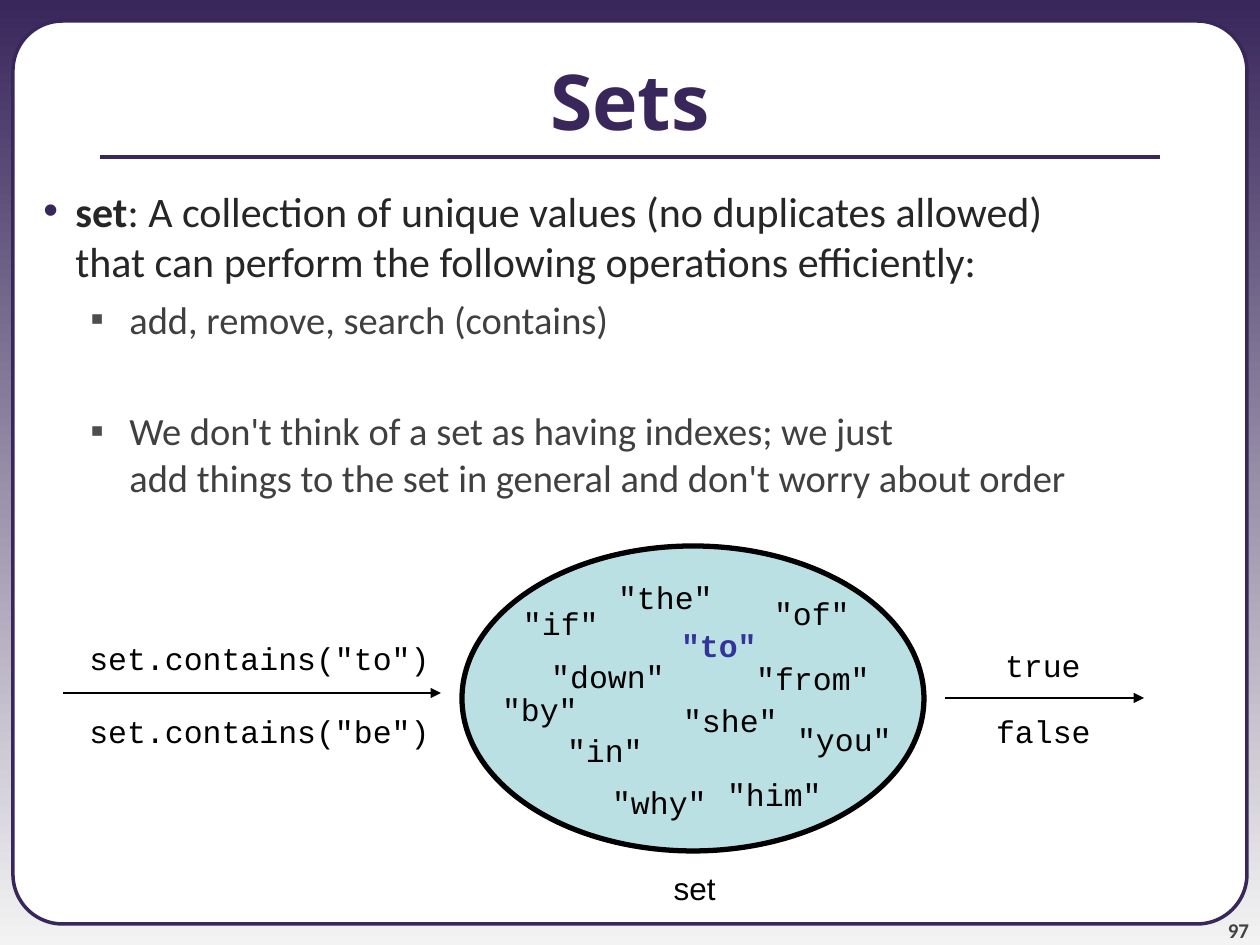
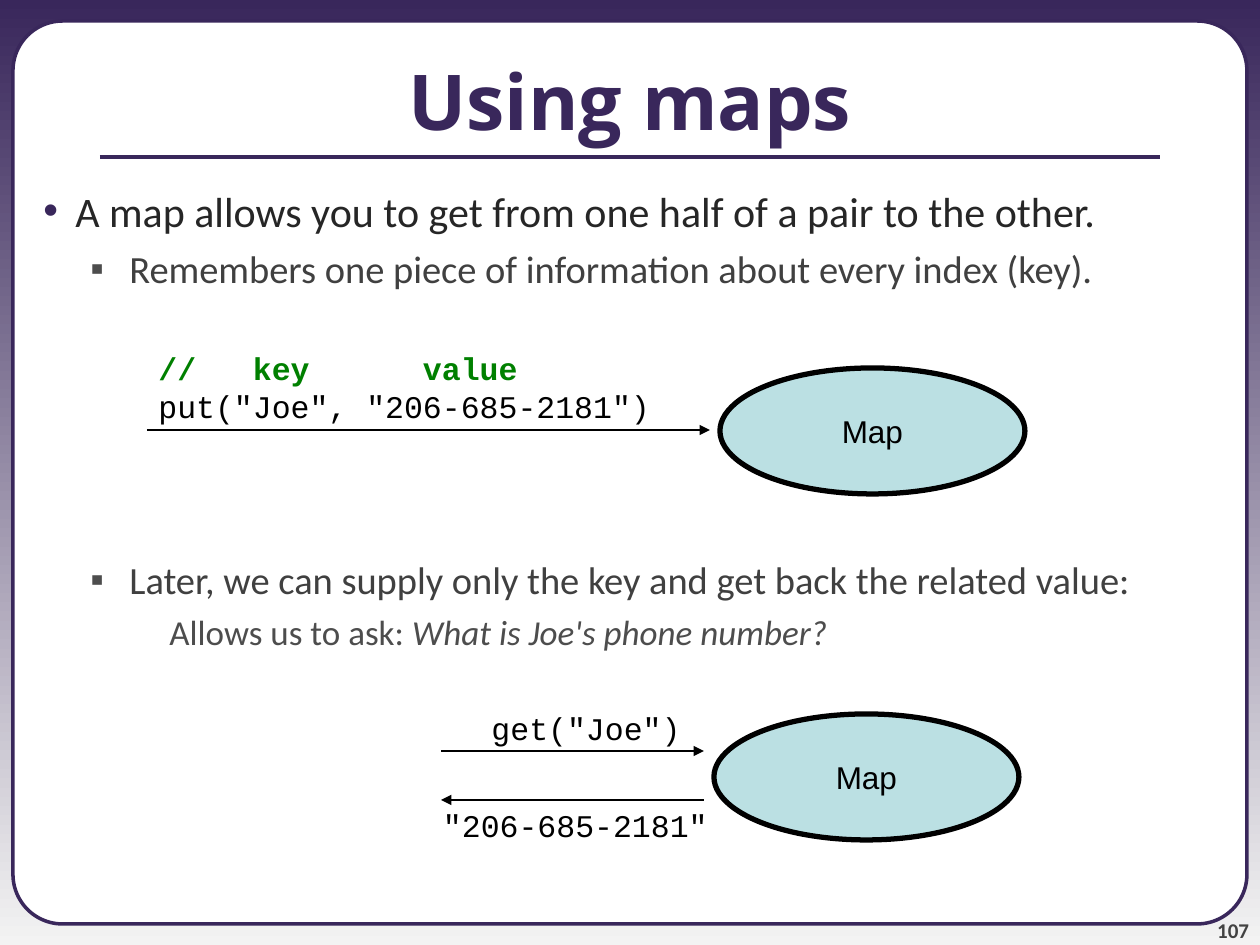
import lxml.etree
import pptx
import pptx.dml.color
import pptx.enum.shapes
import pptx.enum.text
import pptx.oxml.ns
import pptx.util

SCALE = 914400 / 126  # EMU in one pixel
CHARACTER = 18.9      # width of an 18 pt Courier New character
INSET = 12.6          # side margin of a text box
SLACK = 3             # spare width on the left that keeps a label on one line
COLORS = {
    "purple": "39275B", "mist": "F3F3F3", "white": "FFFFFF", "black": "000000",
    "ink": "262626", "grey": "404040", "soft": "4D4D4D", "number": "424242",
    "aqua": "BBE0E3", "blue": "333399", "green": "008000",
}
RGB = {name: pptx.dml.color.RGBColor.from_string(code) for name, code in COLORS.items()}
ALIGN = pptx.enum.text.PP_ALIGN
ANCHOR = pptx.enum.text.MSO_ANCHOR
SHAPE = pptx.enum.shapes.MSO_SHAPE
STRAIGHT = pptx.enum.shapes.MSO_CONNECTOR.STRAIGHT
qn = pptx.oxml.ns.qn

# Per level: left margin, hanging indent, size, text colour, bullet, bullet colour
LEVELS = [
    (63, -32, 24, "ink", "•", "purple"),
    (117, -39, 22, "grey", "▪", "soft"),
    (157, 0, 20, "soft", None, None),
]

# Body: level, space before in points, runs with their style
# Ellipses: box and caption; arrows: start x, end x, y; labels: text, left, top
PAGES = [
    {
        "title": "Sets", "number": "97",
        "body": [
            (0, 6, [("set", "bold"),
                    (": A collection of unique values (no duplicates allowed)", ""),
                    ("\n", ""),
                    ("that can perform the following operations efficiently:", "")]),
            (1, 5.5, [("add, remove, search (contains)", "")]),
            (1, 37.5, [("We don't think of a set as having indexes; we just", ""),
                       ("\n", ""),
                       ("add things to the set in general and don't worry about order", "")]),
        ],
        "ellipses": [(462, 546, 462, 305, "")],
        "arrows": [(63, 441, 693), (945, 1144, 698)],
        "labels": [
            ('set.contains("to")', 77, 633), ('set.contains("be")', 77, 706),
            ("true", 992, 640), ("false", 983, 706),
            ('"the"', 605, 572), ('"of"', 761, 588), ('"from"', 743, 653),
            ('"she"', 670, 695), ('"you"', 784, 714), ('"him"', 714, 769),
            ('"why"', 599, 777), ('"in"', 554, 725), ('"down"', 538, 651),
            ('"by"', 489, 684), ('"if"', 510, 598),
        ],
    },
    {
        "title": "Using maps", "number": "107",
        "body": [
            (0, 6, [("A map allows you to get from one half of a pair to the other.", "")]),
            (1, 5.5, [("Remembers one piece of information about every index (key).", "")]),
            (1, 151, [("Later, we can supply only the key and get back the related value:", "")]),
            (2, 5, [("Allows us to ask: ", ""), ("What is Joe's phone number?", "italic")]),
        ],
        "ellipses": [(720, 368, 305, 126, "Map"), (714, 714, 305, 126, "Map")],
        "arrows": [(147, 710, 430), (441, 704, 751), (704, 441, 800)],
        "labels": [('get("Joe")', 479, 703), ('"206-685-2181"', 430, 800)],
    },
]


def style(para, name, size, color, bold=False):
    para.font.name = name
    para.font.size = pptx.util.Pt(size)
    para.font.color.rgb = RGB[color]
    para.font.bold = bold


def add_label(page, text, left, top, width=None, name="Courier New", color="black", bold=False):
    width = width or round(CHARACTER * len(text) + 2 * INSET)
    place = (left - SLACK, top, width + SLACK, 50)
    box = page.shapes.add_textbox(*[round(value * SCALE) for value in place])
    box.text_frame.word_wrap = False
    box.text_frame.auto_size = pptx.enum.text.MSO_AUTO_SIZE.SHAPE_TO_FIT_TEXT
    para = box.text_frame.paragraphs[0]
    para.text = text
    para.alignment = ALIGN.RIGHT
    style(para, name, 18, color, bold)
    return box


deck = pptx.Presentation()
deck.slide_width = round(1260 * SCALE)
deck.slide_height = round(945 * SCALE)
slides = []

for content in PAGES:
    page = deck.slides.add_slide(deck.slide_layouts[5])
    slides.append(page)

    # Background gradient
    fill = page.background.fill
    fill.gradient()
    fill.gradient_angle = 270
    for stop, color in zip(fill.gradient_stops, ("purple", "mist")):
        stop.color.rgb = RGB[color]

    # White panel behind the title
    title = page.shapes.title
    panel = page.shapes.add_shape(
        SHAPE.ROUNDED_RECTANGLE, *[round(value * SCALE) for value in (13, 21, 1234, 903)])
    panel.adjustments[0] = 0.055
    panel.shadow.inherit = False
    panel.fill.solid()
    panel.fill.fore_color.rgb = RGB["white"]
    panel.line.color.rgb = RGB["purple"]
    panel.line.width = pptx.util.Pt(2)
    title.element.addprevious(panel.element)

    # Title
    title.left, title.top, title.width, title.height = [
        round(value * SCALE) for value in (0, 21, 1260, 158)]
    title.text_frame.text = content["title"]
    title.text_frame.vertical_anchor = ANCHOR.MIDDLE
    title.text_frame.auto_size = pptx.enum.text.MSO_AUTO_SIZE.NONE
    title.text_frame.paragraphs[0].alignment = ALIGN.CENTER
    style(title.text_frame.paragraphs[0], "Open Sans", 44, "purple", True)

    # Page number
    box = page.shapes.add_textbox(*[round(value * SCALE) for value in (1144, 893, 105, 50)])
    frame = box.text_frame
    frame.margin_left = frame.margin_right = frame.margin_top = frame.margin_bottom = 0
    frame.vertical_anchor = ANCHOR.BOTTOM
    frame.word_wrap = True
    frame.text = content["number"]
    frame.paragraphs[0].alignment = ALIGN.RIGHT
    style(frame.paragraphs[0], "Calibri", 12, "number", True)

    # Body text
    box = page.shapes.add_textbox(*[round(value * SCALE) for value in (0, 179, 1260, 766)])
    box.text_frame.word_wrap = True
    for index, (level, space, runs) in enumerate(content["body"]):
        para = box.text_frame.add_paragraph() if index else box.text_frame.paragraphs[0]
        margin, indent, size, color, bullet, bullet_color = LEVELS[level]
        para.level = level
        para.space_before = pptx.util.Pt(space)
        properties = para._p.get_or_add_pPr()
        properties.set("marL", str(round(margin * SCALE)))
        properties.set("indent", str(round(indent * SCALE)))
        if bullet:
            tint = lxml.etree.SubElement(properties, qn("a:buClr"))
            lxml.etree.SubElement(tint, qn("a:srgbClr"), val=COLORS[bullet_color])
            lxml.etree.SubElement(properties, qn("a:buFont"), typeface="Arial")
            lxml.etree.SubElement(properties, qn("a:buChar"), char=bullet)
        style(para, "Calibri", size, color)
        for text, emphasis in runs:
            if text == "\n":
                para.add_line_break()
                continue
            span = para.add_run()
            span.text = text
            if emphasis == "bold":
                span.font.bold = True
            elif emphasis == "italic":
                span.font.italic = True

    # Ellipses
    for *place, caption in content["ellipses"]:
        ellipse = page.shapes.add_shape(SHAPE.OVAL, *[round(value * SCALE) for value in place])
        ellipse.shadow.inherit = False
        ellipse.fill.solid()
        ellipse.fill.fore_color.rgb = RGB["aqua"]
        ellipse.line.color.rgb = RGB["black"]
        ellipse.line.width = pptx.util.Pt(3)
        if caption:
            ellipse.text_frame.text = caption
            ellipse.text_frame.word_wrap = False
            ellipse.text_frame.vertical_anchor = ANCHOR.MIDDLE
            ellipse.text_frame.paragraphs[0].alignment = ALIGN.CENTER
            style(ellipse.text_frame.paragraphs[0], "Arial", 18, "black")

    # Title rule and arrows
    lines = [(100, 1160, 157, "purple", 2.25, False)]
    lines += [(*arrow, "black", 0.74, True) for arrow in content["arrows"]]
    for start, end, height, color, weight, pointed in lines:
        line = page.shapes.add_connector(
            STRAIGHT, *[round(value * SCALE) for value in (start, height, end, height)])
        line.line.color.rgb = RGB[color]
        line.line.width = pptx.util.Pt(weight)
        if pointed:
            lxml.etree.SubElement(line.line._get_or_add_ln(), qn("a:tailEnd"), type="triangle")
        lxml.etree.SubElement(line.element.spPr, qn("a:effectLst"))

    # Code labels
    for text, left, top in content["labels"]:
        add_label(page, text, left, top)

# Sets: the word that is found, and the caption
sets_page, maps_page = slides
add_label(sets_page, '"to"', 668, 620, color="blue", bold=True)
add_label(sets_page, "set", 661, 863, width=67, name="Arial")

# Maps: the call with its column heads on tab stops
call = 'put("Joe", "206-685-2181")'
box = add_label(maps_page, "//\tkey\tvalue", 146 + SLACK, 343,
                width=round(CHARACTER * len(call) + 2 * INSET), color="green", bold=True)
box.height = round(88 * SCALE)
heads = box.text_frame.paragraphs[0]
heads.alignment = ALIGN.LEFT
stops = lxml.etree.Element(qn("a:tabLst"))
for column in (5, 14):
    lxml.etree.SubElement(
        stops, qn("a:tab"), pos=str(round(column * CHARACTER * SCALE)), algn="l")
heads._p.pPr.find(qn("a:defRPr")).addprevious(stops)
para = box.text_frame.add_paragraph()
para.text = call
style(para, "Courier New", 18, "black")

deck.save("out.pptx")
